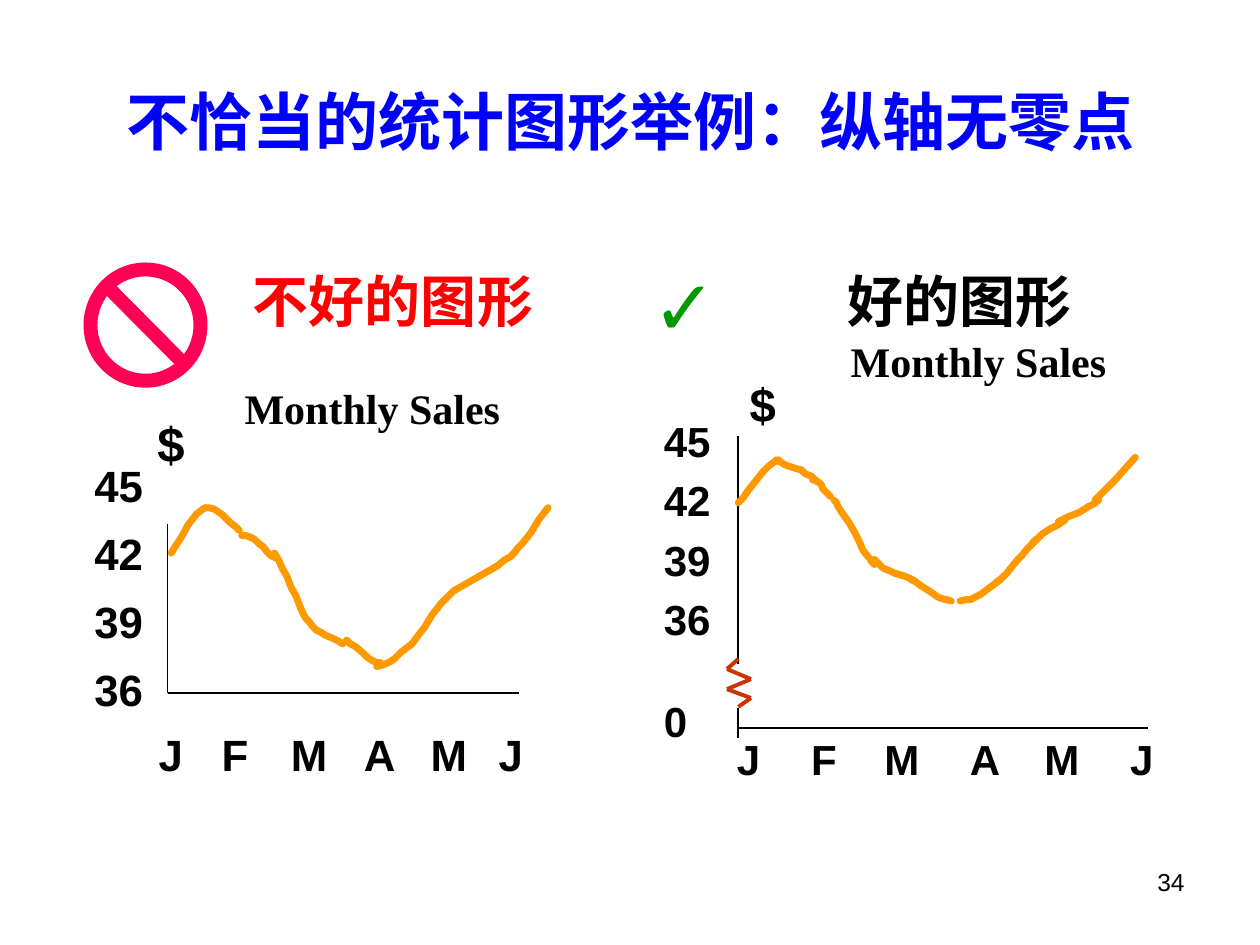
from dataclasses import dataclass
from itertools import pairwise

from lxml.etree import SubElement
from pptx import Presentation
from pptx.dml.color import RGBColor
from pptx.enum.shapes import MSO_CONNECTOR as Connector, MSO_SHAPE as Shape
from pptx.enum.text import MSO_ANCHOR as Anchor, MSO_AUTO_SIZE as AutoSize, PP_ALIGN as Align
from pptx.oxml.ns import qn
from pptx.util import Inches, Pt


@dataclass(frozen=True)
class Theme:
    sans: str = "Arial"
    serif: str = "Times New Roman"
    black: str = "000000"
    title: str = "0000FF"
    bad: str = "FF0000"
    good: str = "009900"
    ban: str = "FF0054"
    curve: str = "FF9900"
    axis_break: str = "CC3300"
    title_size: float = 36
    heading_size: float = 32
    chart_title_size: float = 24
    bad_label_size: float = 25
    good_label_size: float = 24
    bad_unit_size: float = 28
    good_unit_size: float = 27
    check_size: float = 44
    page_size: float = 14
    axis_width: float = 1
    break_width: float = 2.25
    curve_width: float = 4


THEME = Theme()
LABEL_WIDTH = 0.62
LABEL_HEIGHT = 0.5
Y_LABELS = ["45", "42", "39", "36"]
MONTHS = "JFMAMJ"

# Curve strokes, as points in hundredths of an inch on the slide.
BAD_CURVE = [
    [(136, 439), (139, 434), (143, 428), (146, 423), (149, 417), (153, 412),
     (156, 408), (160, 405), (161, 404), (163, 403)],
    [(163, 403), (166, 403), (170, 404), (173, 406), (177, 409), (180, 412),
     (183, 415), (187, 418), (190, 421)],
    [(192, 425), (195, 425), (198, 426), (202, 428), (205, 431), (209, 434),
     (212, 438), (215, 441), (219, 443)],
    [(218, 439), (219, 441), (221, 444), (224, 451), (228, 458), (231, 466),
     (235, 473), (238, 481), (241, 488), (243, 491), (245, 493)],
    [(245, 493), (248, 497), (251, 500), (255, 502), (258, 504), (265, 507),
     (269, 509), (272, 511)],
    [(275, 508), (278, 511), (282, 513), (289, 519), (292, 522), (295, 524),
     (299, 526), (302, 526)],
    [(299, 529), (303, 528), (306, 527), (310, 525), (313, 523), (316, 520),
     (319, 517), (327, 511)],
    [(327, 511), (330, 507), (333, 503), (337, 498), (340, 493), (343, 488),
     (347, 483), (350, 479), (354, 475)],
    [(354, 475), (357, 472), (360, 469), (367, 465), (374, 461), (381, 457)],
    [(381, 457), (388, 453), (395, 449), (401, 444), (405, 442), (408, 439)],
    [(408, 439), (411, 435), (415, 431), (422, 422), (428, 412), (435, 403)],
]
GOOD_CURVE = [
    [(586, 399), (590, 395), (594, 389), (598, 384), (602, 379), (606, 374),
     (610, 370), (614, 367), (616, 366), (618, 365)],
    [(616, 365), (620, 367), (623, 369), (632, 372), (636, 373), (639, 376),
     (644, 378), (648, 382)],
    [(645, 381), (647, 381), (648, 382), (650, 383), (652, 385), (653, 388),
     (655, 390), (657, 392), (659, 394)],
    [(662, 397), (664, 399), (665, 402), (669, 408), (674, 415), (678, 422),
     (682, 430), (685, 437), (690, 443), (692, 446), (694, 448)],
    [(694, 444), (698, 448), (701, 451), (706, 453), (710, 455), (717, 457),
     (722, 459), (726, 461)],
    [(723, 460), (727, 462), (731, 465), (739, 470), (743, 473), (747, 475),
     (751, 476), (755, 477)],
    [(762, 477), (766, 476), (770, 476), (774, 474), (778, 472), (782, 469),
     (786, 466), (794, 460)],
    [(791, 462), (795, 459), (799, 455), (803, 450), (807, 445), (811, 441),
     (815, 436), (819, 432), (823, 428)],
    [(820, 430), (824, 427), (827, 424), (833, 420), (839, 417), (845, 413)],
    [(840, 414), (848, 410), (856, 407), (864, 402), (868, 400), (872, 397)],
    [(869, 397), (873, 393), (877, 389), (885, 381), (893, 372), (901, 363)],
]
AXIS_BREAK = [(5.86, 5.61), (5.96, 5.54), (5.77, 5.47), (5.96, 5.39),
              (5.77, 5.31), (5.86, 5.23)]


def rgb(color):
    return RGBColor.from_string(color)


def style_font(font, color, **values):
    for name, value in values.items():
        setattr(font, name, value)
    font.color.rgb = rgb(color)


def add_text(shapes, text, box, size, color=THEME.black, font=THEME.sans,
             bold=True, align=Align.LEFT, wrap=True):
    textbox = shapes.add_textbox(*map(Inches, box))
    frame = textbox.text_frame
    frame.word_wrap = wrap
    frame.auto_size = AutoSize.SHAPE_TO_FIT_TEXT
    paragraph = frame.paragraphs[0]
    paragraph.text = text
    paragraph.alignment = align
    style_font(paragraph.font, color, name=font, size=Pt(size), bold=bold)


def add_chart_title(shapes, box):
    add_text(shapes, "Monthly Sales", box, THEME.chart_title_size,
             font=THEME.serif, align=Align.CENTER)


def add_heading(shapes, text, box, color):
    add_text(shapes, text, box, THEME.heading_size, color, THEME.serif,
             align=Align.CENTER)


def add_polyline(shapes, points, color, width):
    """Join the points with straight connectors."""
    for start, end in pairwise(points):
        connector = shapes.add_connector(Connector.STRAIGHT, *map(Inches, start + end))
        connector.line.color.rgb = rgb(color)
        connector.line.width = Pt(width)
        SubElement(connector._element.spPr, qn("a:effectLst"))


def add_curve(shapes, strokes):
    for start, *others in strokes:
        builder = shapes.build_freeform(*start, scale=Inches(0.01))
        builder.add_line_segments(others, close=False)
        stroke = builder.convert_to_shape()
        stroke.shadow.inherit = False
        stroke.fill.background()
        stroke.line.color.rgb = rgb(THEME.curve)
        stroke.line.width = Pt(THEME.curve_width)
        outline = stroke._element.spPr.find(qn("a:ln"))
        outline.set("cap", "rnd")
        SubElement(outline, qn("a:round"))


def add_axis_labels(shapes, size, left, top, step, month_top, months):
    """Values run down at equal steps; months are (left, width) pairs."""
    for index, label in enumerate(Y_LABELS):
        add_text(shapes, label, (left, top + index * step, LABEL_WIDTH, LABEL_HEIGHT),
                 size)
    for label, (month_left, width) in zip(MONTHS, months):
        add_text(shapes, label, (month_left, month_top, width, LABEL_HEIGHT),
                 size, wrap=False)


def add_ban_sign(shapes, box):
    sign = shapes.add_shape(Shape.NO_SYMBOL, *map(Inches, box))
    sign.adjustments[0] = 0.1
    sign.shadow.inherit = False
    sign.fill.solid()
    sign.fill.fore_color.rgb = rgb(THEME.ban)
    sign.line.color.rgb = rgb(THEME.ban)
    sign.line.width = Pt(1)


def set_title(title, text):
    for name, value in dict(left=0.5, top=0.3, width=9, height=1.25).items():
        setattr(title, name, Inches(value))
    frame = title.text_frame
    frame.text = text
    frame.auto_size = AutoSize.NONE
    frame.vertical_anchor = Anchor.MIDDLE
    paragraph = frame.paragraphs[0]
    paragraph.alignment = Align.CENTER
    paragraph.line_spacing = 1.1
    style_font(paragraph.font, THEME.title, name=THEME.sans,
               size=Pt(THEME.title_size), bold=True)


def add_bad_panel(shapes):
    add_heading(shapes, "不好的图形", (1.23, 2.07, 3.78, 0.63), THEME.bad)
    add_ban_sign(shapes, (0.67, 2.09, 0.97, 0.98))
    add_chart_title(shapes, (1.65, 2.99, 2.61, 0.5))
    add_text(shapes, "$", (1.15, 3.23, 0.41, 0.56), THEME.bad_unit_size, wrap=False)
    add_polyline(shapes, [(1.33, 4.16), (1.33, 5.5), (4.12, 5.5)],
                 THEME.black, THEME.axis_width)
    add_axis_labels(shapes, THEME.bad_label_size, 0.65, 3.59, 0.54, 5.73,
                    [(1.16, 0.39), (1.66, 0.41), (2.21, 0.49),
                     (2.79, 0.45), (3.32, 0.49), (3.86, 0.39)])
    add_curve(shapes, BAD_CURVE)


def add_good_panel(shapes):
    add_heading(shapes, "好的图形", (5.49, 2.07, 4.26, 0.63), THEME.black)
    chart = shapes.add_group_shape().shapes
    add_text(chart, "✓", (5.08, 2, 1.08, 0.83), THEME.check_size, THEME.good, bold=False)
    add_chart_title(chart, (6.24, 2.61, 3.05, 0.5))
    add_text(chart, "$", (5.85, 2.93, 0.41, 0.55), THEME.good_unit_size, wrap=False)
    for axis in ([(5.86, 3.46), (5.86, 5.27)], [(5.86, 5.62), (5.86, 5.86)],
                 [(5.86, 5.78), (9.11, 5.78)]):
        add_polyline(chart, axis, THEME.black, THEME.axis_width)
    add_axis_labels(chart, THEME.good_label_size, 5.17, 3.25, 0.47, 5.77,
                    [(5.75, 0.38), (6.34, 0.4), (6.92, 0.48),
                     (7.6, 0.44), (8.19, 0.48), (8.87, 0.38)])
    add_text(chart, "0", (5.17, 5.47, LABEL_WIDTH, LABEL_HEIGHT), THEME.good_label_size)
    add_curve(chart, GOOD_CURVE)
    add_polyline(chart, AXIS_BREAK, THEME.axis_break, THEME.break_width)


def main():
    presentation = Presentation()
    presentation.slide_width = Inches(10)
    presentation.slide_height = Inches(7.5)
    slide = presentation.slides.add_slide(presentation.slide_layouts.get_by_name("Title Only"))
    set_title(slide.shapes.title, "不恰当的统计图形举例：纵轴无零点")
    add_bad_panel(slide.shapes)
    add_good_panel(slide.shapes)
    add_text(slide.shapes, "34", (7.17, 6.83, 2.33, 0.52), THEME.page_size,
             bold=False, align=Align.RIGHT)
    presentation.save("out.pptx")


if __name__ == "__main__":
    main()
